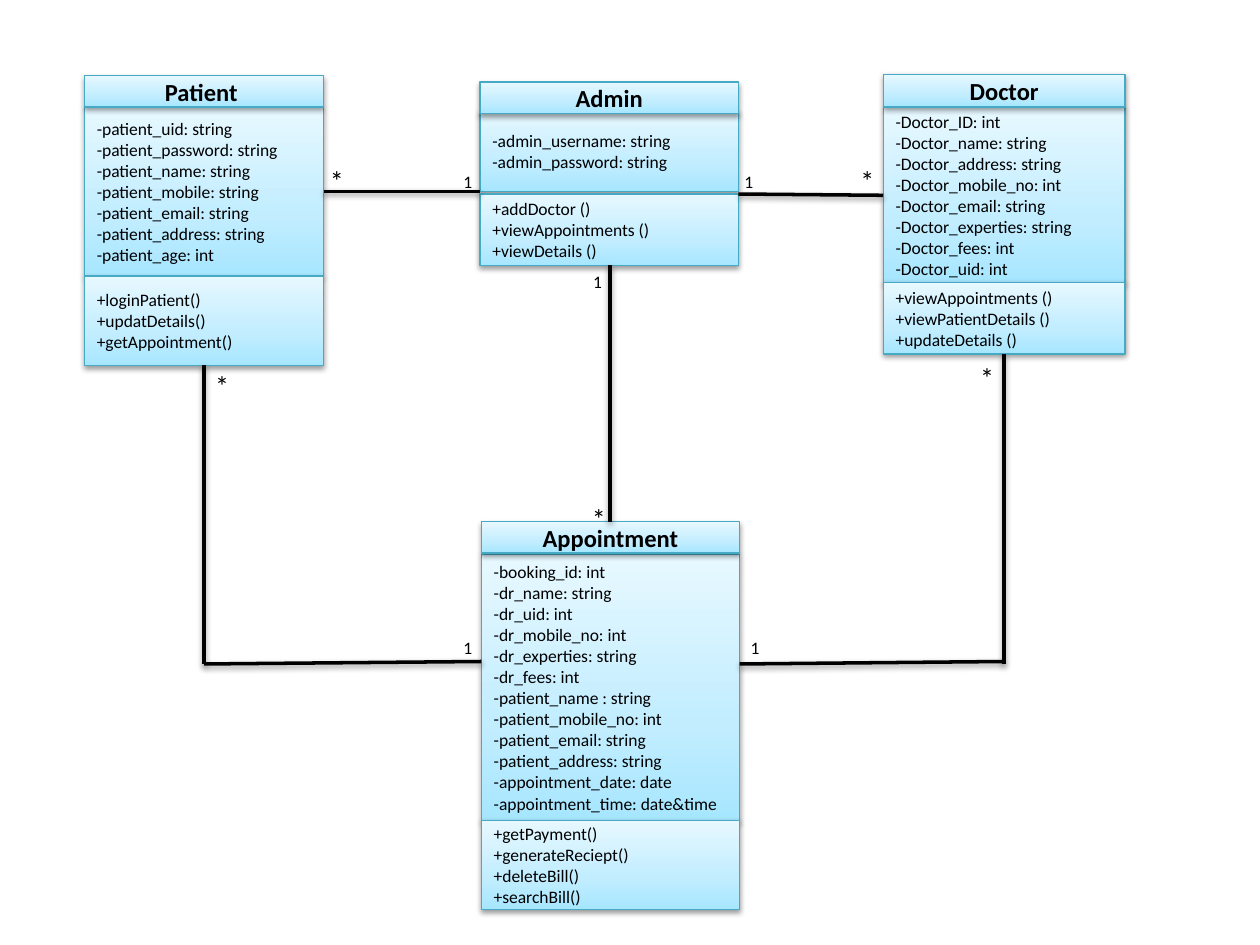
from dataclasses import dataclass

from pptx import Presentation
from pptx.dml.color import RGBColor
from pptx.enum.shapes import MSO_CONNECTOR, MSO_SHAPE
from pptx.enum.text import MSO_ANCHOR, MSO_AUTO_SIZE, PP_ALIGN
from pptx.oxml import parse_xml
from pptx.oxml.ns import nsdecls
from pptx.util import Inches, Pt

RECTANGLE = MSO_SHAPE.RECTANGLE
STRAIGHT = MSO_CONNECTOR.STRAIGHT
MIDDLE = MSO_ANCHOR.MIDDLE
LEFT, CENTER = PP_ALIGN.LEFT, PP_ALIGN.CENTER
GROW = MSO_AUTO_SIZE.SHAPE_TO_FIT_TEXT


@dataclass(frozen=True)
class Theme:
    """Colours, font and type sizes of the diagram."""
    font: str = "Calibri"
    ink: str = "000000"
    border: str = "46AAC5"
    gradient: tuple = ((0, "A7E6FF"), (35, "C1EDFF"), (100, "E7F8FF"))
    title_size: int = 14
    member_size: int = 10
    star_size: int = 16
    border_width: float = 0.75
    link_width: float = 2


class ClassDiagram:
    """Draws UML classes and their associations on one slide."""

    def __init__(self, slide, theme):
        """Keep the slide and the style."""
        self.slide = slide
        self.theme = theme

    def add_gradient(self, shape):
        """Fill a shape with the three-stop gradient, running upwards."""
        stops = "".join(
            f'<a:gs pos="{position * 1000}"><a:srgbClr val="{color}"/></a:gs>'
            for position, color in self.theme.gradient)
        shape._element.spPr.append(parse_xml(
            f'<a:gradFill {nsdecls("a")} rotWithShape="1"><a:gsLst>{stops}</a:gsLst>'
            '<a:lin ang="16200000" scaled="0"/></a:gradFill>'))

    def add_shadow(self, shape):
        """Give a shape or connector the soft shadow below it."""
        shape._element.spPr.append(parse_xml(
            f'<a:effectLst {nsdecls("a")}>'
            '<a:outerShdw blurRad="40000" dist="20000" dir="5400000" rotWithShape="0">'
            f'<a:srgbClr val="{self.theme.ink}"><a:alpha val="38000"/></a:srgbClr>'
            '</a:outerShdw></a:effectLst>'))

    def outline(self, shape, color, width):
        """Set the line colour and width."""
        shape.line.color.rgb = RGBColor.from_string(color)
        shape.line.width = Pt(width)

    def set_text(self, text_frame, lines, size, alignment=LEFT, bold=False):
        """Set one paragraph per line in a common style."""
        text_frame.word_wrap = True
        text_frame.text = "\n".join(lines)
        for paragraph in text_frame.paragraphs:
            paragraph.alignment = alignment
            font = paragraph.font
            font.name, font.size, font.bold = self.theme.font, Pt(size), bold
            font.color.rgb = RGBColor.from_string(self.theme.ink)

    def compartment(self, left, top, width, height, lines, size, **style):
        """Draw one box of a class with its text."""
        shape = self.slide.shapes.add_shape(
            RECTANGLE, Inches(left), Inches(top), Inches(width), Inches(height))
        self.add_gradient(shape)
        self.outline(shape, self.theme.border, self.theme.border_width)
        self.add_shadow(shape)
        shape.text_frame.vertical_anchor = MIDDLE
        self.set_text(shape.text_frame, lines, size, **style)

    def uml_class(self, left, width, name, title, attributes, methods):
        """Draw a class, its title overlapping the attributes."""
        member_size = self.theme.member_size
        top, height, lines = attributes
        self.compartment(left, top, width, height, lines, member_size)
        top, height = title
        self.compartment(left, top, width, height, [name], self.theme.title_size,
                         alignment=CENTER, bold=True)
        top, height, lines = methods
        self.compartment(left, top, width, height, lines, member_size)

    def link(self, start, end):
        """Draw an association line."""
        connector = self.slide.shapes.add_connector(
            STRAIGHT, *(Inches(value) for value in (*start, *end)))
        self.outline(connector, self.theme.ink, self.theme.link_width)
        self.add_shadow(connector)

    def multiplicity(self, left, top, text):
        """Place a multiplicity mark beside a line end."""
        star = text == "*"
        box = self.slide.shapes.add_textbox(
            Inches(left), Inches(top), Inches(0.24), Inches(0.37 if star else 0.27))
        self.set_text(box.text_frame, [text],
                      self.theme.star_size if star else self.theme.member_size)
        box.text_frame.auto_size = GROW


# Left, width, name, title (top, height), attributes and methods (top, height, lines)
CLASSES = [
    (3.81, 2.05, "Admin", (0.65, 0.25),
     (0.88, 0.64, ["-admin_username: string", "-admin_password: string"]),
     (1.54, 0.57, ["+addDoctor ()", "+viewAppointments ()", "+viewDetails ()"])),
    (7.01, 1.92, "Doctor", (0.59, 0.26),
     (0.85, 1.39, ["-Doctor_ID: int", "-Doctor_name: string",
                   "-Doctor_address: string", "-Doctor_mobile_no: int",
                   "-Doctor_email: string", "-Doctor_experties: string",
                   "-Doctor_fees: int", "-Doctor_uid: int"]),
     (2.24, 0.57, ["+viewAppointments ()", "+viewPatientDetails ()",
                   "+updateDetails ()"])),
    (3.82, 2.05, "Appointment", (4.14, 0.25),
     (4.4, 2.11, ["-booking_id: int", "-dr_name: string", "-dr_uid: int",
                  "-dr_mobile_no: int", "-dr_experties: string", "-dr_fees: int",
                  "-patient_name : string", "-patient_mobile_no: int",
                  "-patient_email: string", "-patient_address: string",
                  "-appointment_date: date", "-appointment_time: date&time"]),
     (6.51, 0.71, ["+getPayment()", "+generateReciept()", "+deleteBill()",
                   "+searchBill()"])),
    (0.67, 1.9, "Patient ", (0.6, 0.25),
     (0.85, 1.34, ["-patient_uid: string", "-patient_password: string",
                   "-patient_name: string", "-patient_mobile: string",
                   "-patient_email: string", "-patient_address: string",
                   "-patient_age: int"]),
     (2.19, 0.71, ["+loginPatient()", "+updatDetails()", "+getAppointment()"])),
]
LINKS = [
    ((2.57, 1.52), (3.81, 1.52)), ((7.01, 1.55), (5.86, 1.54)),
    ((7.97, 5.27), (7.97, 2.81)), ((1.62, 5.27), (1.62, 2.9)),
    ((1.62, 5.27), (3.82, 5.25)), ((5.87, 5.27), (7.97, 5.25)),
    ((4.84, 4.14), (4.84, 2.1)),
]
MULTIPLICITIES = {
    "*": [(4.6, 3.93), (6.73, 1.25), (2.52, 1.25), (1.61, 2.88), (7.68, 2.81)],
    "1": [(3.58, 1.31), (5.81, 1.31), (4.61, 2.1), (3.58, 5.01), (5.86, 5.01)],
}


def main():
    """Build and save the class diagram."""
    presentation = Presentation()
    presentation.slide_width, presentation.slide_height = Inches(10), Inches(7.5)
    slide = presentation.slides.add_slide(presentation.slide_layouts[6])
    diagram = ClassDiagram(slide, Theme())
    for uml_class in CLASSES:
        diagram.uml_class(*uml_class)
    for start, end in LINKS:
        diagram.link(start, end)
    for text, places in MULTIPLICITIES.items():
        for left, top in places:
            diagram.multiplicity(left, top, text)
    presentation.save("out.pptx")


main()
